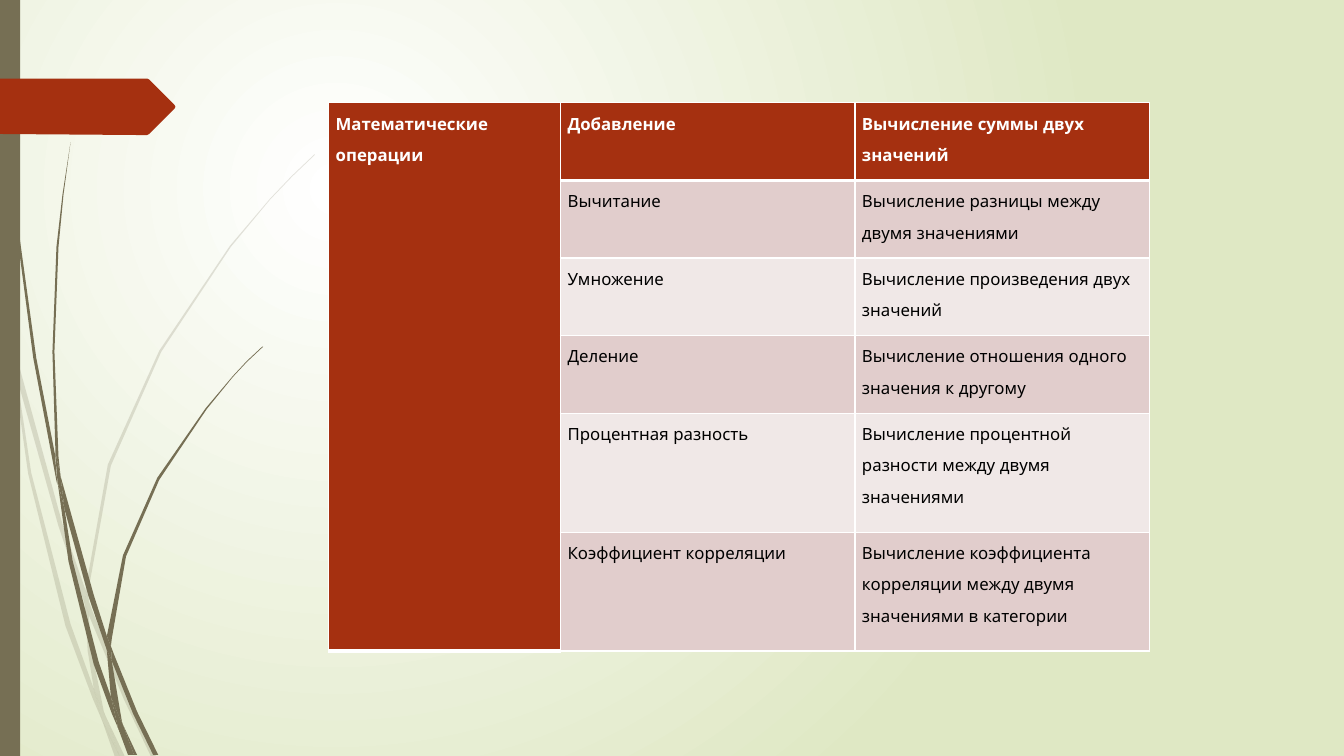
"""Build a slide with a table of mathematical operations beside grass stems."""
from lxml import etree
from pptx import Presentation
from pptx import util as u
from pptx.dml import color as dml
from pptx.enum import shapes
from pptx.oxml import ns

PX = 9144
OLIVE, RUST, WHITE, BLACK = "766F54", "A53010", "FFFFFF", "000000"
BANDS = ["E1CDCC", "F0E8E7"]


def paint(fill, value):
    fill.solid()
    fill.fore_color.rgb = dml.RGBColor.from_string(value)


def draw_outline(parent, points, value):
    builder = parent.build_freeform(*points[0], scale=PX)
    builder.add_line_segments(points[1:])
    shape = builder.convert_to_shape()
    shape.shadow.inherit = False
    shape.line.fill.background()
    paint(shape.fill, value)
    return shape


deck = Presentation()
deck.slide_width, deck.slide_height = 1333 * PX, 750 * PX
page = deck.slides.add_slide(deck.slide_layouts[6])

backdrop = page.background.fill
backdrop.gradient()
for stop, value in zip(backdrop.gradient_stops, [WHITE, "DFE8C4"]):
    stop.color.rgb = dml.RGBColor.from_string(value)
gradient = page.element.find(".//" + ns.qn("a:gradFill"))
gradient.remove(gradient.find(ns.qn("a:lin")))
circle = etree.SubElement(gradient, ns.qn("a:path"), path="circle")
etree.SubElement(circle, ns.qn("a:fillToRect"), l="50000", t="50000", r="100000", b="100000")

pale_stems = [
    [(11, 350), (9, 322), (0, 282), (0, 299), (10, 344)],
    [(58, 522), (84, 599), (85, 586), (62, 520), (14, 345), (17, 376)],
    [(92, 607), (88, 596), (88, 610), (123, 694), (150, 751), (155, 751), (127, 692)],
    [(119, 751), (124, 751), (105, 711)],
    [(93, 683), (70, 619), (31, 469), (17, 376), (11, 350), (28, 470), (65, 621),
     (92, 693), (101, 714), (99, 707)],
    [(84, 599), (87, 646), (93, 683), (96, 692), (105, 711), (103, 706), (91, 646),
     (88, 610), (88, 608)],
    [(88, 584), (110, 462), (160, 349), (229, 245), (268, 198), (290, 175), (312, 154),
     (312, 153), (289, 175), (268, 197), (228, 244), (158, 348), (107, 461), (85, 584),
     (85, 586), (88, 596)],
    [(101, 714), (114, 751), (119, 751)],
    [(88, 608), (88, 610), (88, 596), (85, 586), (84, 599)],
    [(96, 692), (93, 683), (99, 707), (101, 714), (119, 751), (105, 711)],
]
dark_stems = [
    [(7, 110), (17, 233), (33, 355), (56, 477), (57, 481), (55, 457), (55, 453), (36, 355),
     (19, 232), (8, 109), (5, 48), (4, 0), (3, 0), (4, 48)],
    [(88, 592), (106, 645), (106, 631), (93, 590), (60, 472), (64, 505)],
    [(113, 649), (110, 641), (111, 656), (132, 708), (152, 749), (157, 749), (136, 706)],
    [(110, 691), (98, 657), (72, 556), (64, 505), (57, 477), (68, 557), (93, 659),
     (111, 708), (117, 722), (116, 717)],
    [(60, 472), (58, 453), (54, 349), (58, 245), (63, 193), (70, 141), (62, 193),
     (56, 245), (52, 349), (55, 449)],
    [(133, 749), (136, 749), (122, 719)],
    [(57, 477), (64, 505), (60, 472), (55, 449), (55, 453)],
    [(111, 633), (125, 552), (158, 476), (205, 406), (231, 374), (245, 359), (261, 344),
     (260, 344), (245, 358), (231, 373), (204, 405), (156, 474), (122, 551), (106, 631),
     (110, 641)],
    [(117, 722), (127, 749), (131, 749)],
    [(106, 645), (110, 691), (116, 706), (122, 719), (121, 716), (111, 656), (109, 651)],
    [(106, 645), (109, 651), (111, 656), (110, 641), (106, 631)],
    [(116, 706), (110, 691), (116, 717), (117, 722), (130, 749), (133, 749), (122, 719)],
]
for stems, opacity in [(pale_stems, 20), (dark_stems, 100)]:
    clump = page.shapes.add_group_shape()
    for points in stems:
        stem = draw_outline(clump.shapes, points, OLIVE)
        if opacity < 100:
            tint = stem.element.spPr.find(ns.qn("a:solidFill"))[0]
            etree.SubElement(tint, ns.qn("a:alpha"), val=str(opacity * 1000))

edge = page.shapes.add_shape(shapes.MSO_SHAPE.RECTANGLE, 0, 0, 20 * PX, 750 * PX)
edge.shadow.inherit = False
edge.line.fill.background()
paint(edge.fill, OLIVE)
draw_outline(page.shapes, [(0, 78), (146, 78), (148, 79), (173, 104), (174, 106), (173, 108),
                           (148, 133), (146, 134), (136, 134), (0, 133)], RUST)

operations = [
    ("Добавление", "Вычисление суммы двух значений"),
    ("Вычитание", "Вычисление разницы между двумя значениями"),
    ("Умножение", "Вычисление произведения двух значений"),
    ("Деление", "Вычисление отношения одного значения к другому"),
    ("Процентная разность", "Вычисление процентной разности между двумя значениями"),
    ("Коэффициент корреляции",
     "Вычисление коэффициента корреляции между двумя значениями в категории"),
]
widths, heights = [230, 292, 292], [77, 77, 77, 77, 118, 118]
frame = page.shapes.add_table(len(heights), len(widths), 326 * PX, 102 * PX,
                              sum(widths) * PX, sum(heights) * PX)
table = frame.table
for column, width in zip(table.columns, widths):
    column.width = width * PX
for row, height in zip(table.rows, heights):
    row.height = height * PX
table.cell(0, 0).merge(table.cell(len(heights) - 1, 0))

for r, operation in enumerate(operations):
    labels = ["Математические операции" if r == 0 else "", *operation]
    for c, label in enumerate(labels):
        cell = table.cell(r, c)
        heading = r == 0 or c == 0
        cell.margin_left = cell.margin_right = 7 * PX
        cell.margin_top = cell.margin_bottom = 0
        properties = cell._tc.get_or_add_tcPr()
        for side in "LRTB":
            points = 3 if heading and side == "B" else 1
            border = etree.SubElement(properties, ns.qn("a:ln" + side), w=str(u.Pt(points)))
            ink = etree.SubElement(border, ns.qn("a:solidFill"))
            etree.SubElement(ink, ns.qn("a:srgbClr"), val=WHITE)
        paint(cell.fill, RUST if heading else BANDS[(r - 1) % 2])
        if label:
            para = cell.text_frame.paragraphs[0]
            para.line_spacing = 1.5
            span = para.add_run()
            span.text = label
            span.font.name, span.font.size, span.font.bold = "Quicksand", u.Pt(12), heading
            paint(span.font.fill, WHITE if heading else BLACK)

deck.save("out.pptx")
